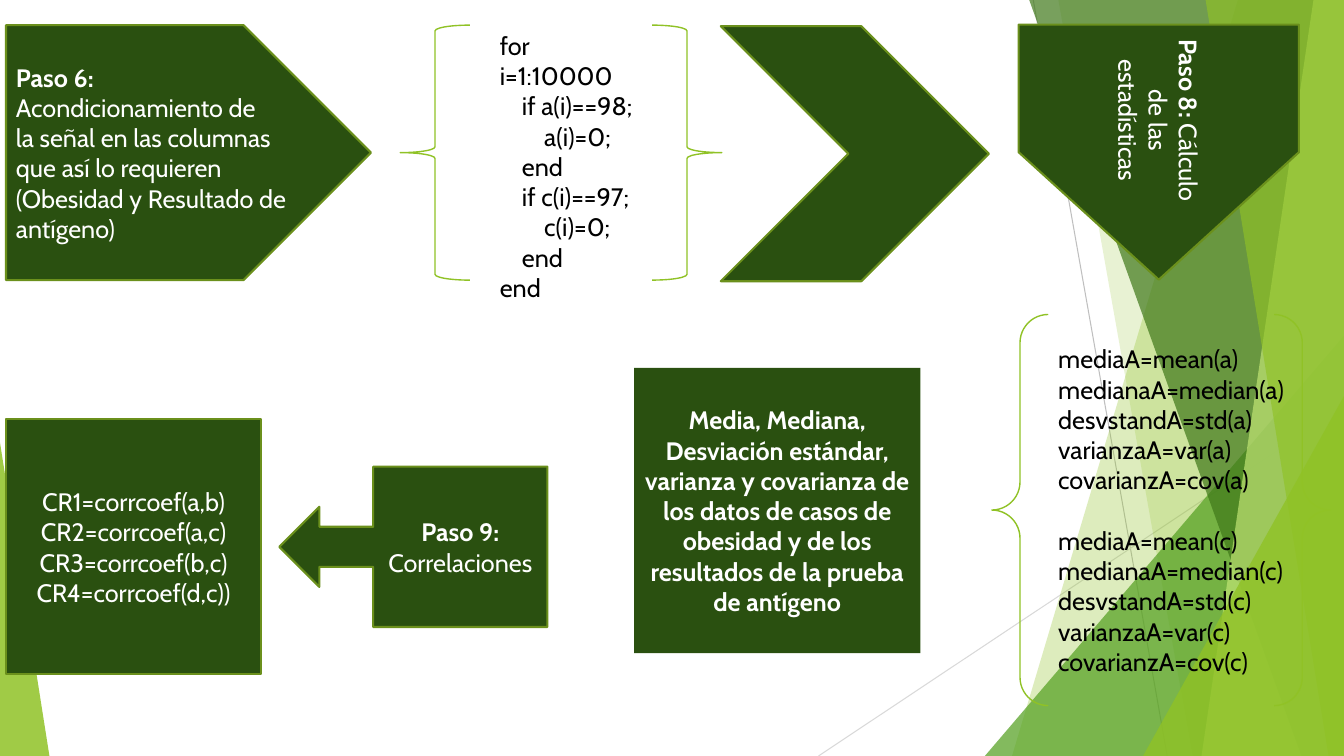
from pptx import Presentation
from pptx.dml.color import RGBColor
from pptx.enum.shapes import MSO_CONNECTOR, MSO_SHAPE
from pptx.enum.text import MSO_ANCHOR, PP_ALIGN
from pptx.oxml.ns import qn
from pptx.util import Inches, Pt
from lxml import etree

LEFT, CENTER = PP_ALIGN.LEFT, PP_ALIGN.CENTER
TOP, MIDDLE = MSO_ANCHOR.TOP, MSO_ANCHOR.MIDDLE
STRAIGHT = MSO_CONNECTOR.STRAIGHT
TRIANGLE, RECTANGLE = MSO_SHAPE.ISOSCELES_TRIANGLE, MSO_SHAPE.RECTANGLE
PENTAGON, CHEVRON = MSO_SHAPE.PENTAGON, MSO_SHAPE.CHEVRON
LEFT_BRACE, RIGHT_BRACE = MSO_SHAPE.LEFT_BRACE, MSO_SHAPE.RIGHT_BRACE
BRACE_PAIR, ARROW_CALLOUT = MSO_SHAPE.DOUBLE_BRACE, MSO_SHAPE.LEFT_ARROW_CALLOUT

WIDTH, HEIGHT = Inches(13.33), Inches(7.5)
DARK, EDGE, LIME = "2A5010", "6B901C", "90C226"
WHITE, BLACK = "FFFFFF", "000000"
FONT = {"name": "Cabin", "size": Pt(18)}
INDENT = Inches(0.22)

# Shared measures, in percent of the slide
MARGIN, ROW_TOP, STEP_H, STEP_W = 0.45, 3.33, 33.73, 18.98


def rgb(value):
    return RGBColor.from_string(value)


def x(percent):
    return int(WIDTH * percent / 100)


def y(percent):
    return int(HEIGHT * percent / 100)


def place(box):
    left, top, width, height = box
    return x(left), y(top), x(width), y(height)


def assign(target, values):
    for key, value in values.items():
        setattr(target, key, value)


def paint(shape, fill=None, line=None, weight=1.5, opacity=100):
    shape.shadow.inherit = False
    if fill:
        shape.fill.solid()
        shape.fill.fore_color.rgb = rgb(fill)
        if opacity < 100:
            color = shape.fill._xPr.find(qn("a:solidFill"))[0]
            etree.SubElement(color, qn("a:alpha"), val=str(opacity * 1000))
    else:
        shape.fill.background()
    if line:
        shape.line.color.rgb = rgb(line)
        shape.line.width = Pt(weight)
    else:
        shape.line.fill.background()


def para(*runs, level=0, before=0):
    """Runs are (text, bold) pairs."""
    return {"runs": runs, "level": level, "before": before}


def plain(lines):
    return [para((line, False)) for line in lines]


def write(shape, paragraphs, color, align, anchor):
    frame = shape.text_frame
    assign(frame, {"word_wrap": True, "vertical_anchor": anchor})
    for index, item in enumerate(paragraphs):
        paragraph = frame.paragraphs[0] if index == 0 else frame.add_paragraph()
        assign(paragraph, {"alignment": align, "space_before": Pt(item["before"])})
        if item["level"]:
            paragraph._p.get_or_add_pPr().set("marL", str(INDENT * item["level"]))
        for text, bold in item["runs"]:
            run = paragraph.add_run()
            run.text = text
            assign(run.font, {**FONT, "bold": bold})
            run.font.color.rgb = rgb(color)


def ray(slide, start, end, color):
    line = slide.shapes.add_connector(STRAIGHT, x(start[0]), y(start[1]), x(end[0]), y(end[1]))
    line.line.color.rgb = rgb(color)
    line.line.width = Pt(0.75)
    etree.SubElement(line._element.spPr, qn("a:effectLst"))


def facet(slide, top_x, bottom_x, color, opacity):
    """Full-height band from a slanted left edge to the right side."""
    outline = slide.shapes.build_freeform(x(top_x), 0)
    outline.add_line_segments([(x(100), 0), (x(100), y(100)), (x(bottom_x), y(100))], close=True)
    paint(outline.convert_to_shape(), color, opacity=opacity)


def corner(slide, box, apex, color, opacity):
    triangle = slide.shapes.add_shape(TRIANGLE, *place(box))
    triangle.adjustments[0] = apex
    paint(triangle, color, opacity=opacity)


def step(slide, kind, box, paragraphs=(), align=CENTER, edge=EDGE, rotation=0):
    block = slide.shapes.add_shape(kind, *place(box))
    block.rotation = rotation
    paint(block, DARK, edge)
    write(block, paragraphs, WHITE, align, MIDDLE)


def brace(slide, kind, box):
    paint(slide.shapes.add_shape(kind, *place(box)), line=LIME, weight=1)


def code(slide, box, paragraphs):
    write(slide.shapes.add_textbox(*place(box)), paragraphs, BLACK, LEFT, TOP)


def backdrop(slide):
    ray(slide, (76.88, 0), (86.85, 100), "BFBFBF")
    ray(slide, (100, 53.73), (60.9, 100), "D9D9D9")
    facet(slide, 92.1, 75.3, LIME, 30)
    facet(slide, 78.75, 88.73, LIME, 20)
    corner(slide, (73.28, 44.4, 26.72, 55.6), 1, "54A021", 72)
    facet(slide, 76.58, 96.83, "3F7819", 70)
    facet(slide, 97.73, 89.4, "C0E474", 70)
    facet(slide, 89.7, 98.85, LIME, 65)
    corner(slide, (85.05, 52.4, 14.95, 47.6), 1, LIME, 80)
    corner(slide, (0, 58.53, 3.68, 41.47), 0, LIME, 85)


def main():
    deck = Presentation()
    assign(deck, {"slide_width": WIDTH, "slide_height": HEIGHT})
    slide = deck.slides.add_slide(deck.slide_layouts[6])
    backdrop(slide)

    # Step 6: signal conditioning and its loop
    cleaning_loop = [(0, "for i=1:10000"), (1, "if a(i)==98;"), (2, "a(i)=0;"), (1, "end"),
                     (1, "if c(i)==97;"), (2, "c(i)=0;"), (1, "end"), (0, "end")]
    code(slide, (36.45, ROW_TOP, 12, 33.6),
         [para((text, False), level=level) for level, text in cleaning_loop])
    step(slide, PENTAGON, (MARGIN, ROW_TOP, 27.15, STEP_H), [
        para(("Paso 6:", True)),
        para(("Acondicionamiento de la\u00a0señal en las columnas que\u00a0así\u00a0lo requieren "
              "(Obesidad\u00a0y Resultado de antígeno)", False))], align=LEFT)
    for kind, left in ((LEFT_BRACE, 29.78), (RIGHT_BRACE, 48.53)):
        brace(slide, kind, (left, ROW_TOP, 5.18, STEP_H))
    step(slide, CHEVRON, (53.63, 3.47, 19.95, STEP_H))

    # Step 8: statistics of both variables
    brace(slide, BRACE_PAIR, (73.8, 41.6, 25.2, 51.73))
    measures = ("mediaA=mean", "medianaA=median", "desvstandA=std",
                "varianzaA=var", "covarianzA=cov")
    statistics = [para((f"{measure}({variable})", False),
                       before=21.7 if variable == "c" and index == 0 else 0)
                  for variable in "ac" for index, measure in enumerate(measures)]
    code(slide, (78, 44.8, 22, 45.73), statistics)
    step(slide, PENTAGON, (76.73, 1.6, STEP_W, 37.07),
         [para(("Paso 8:", True), (" Cálculo de las estadísticas", False))], rotation=90)
    step(slide, RECTANGLE, (47.18, 48.67, 21.3, 37.73), [para((
        "Media, Mediana, Desviación estándar, varianza y covarianza de los datos de casos "
        "de obesidad y de los resultados de la prueba de antígeno", True))], edge=None)

    # Step 9: correlations
    pairs = ("a,b)", "a,c)", "b,c)", "d,c))")
    step(slide, RECTANGLE, (MARGIN, 55.47, STEP_W, STEP_H),
         plain(f"CR{number}=corrcoef({pair}" for number, pair in enumerate(pairs, 1)))
    step(slide, ARROW_CALLOUT, (20.78, 61.73, 19.95, 21.2),
         [para(("Paso 9:", True)), para(("Correlaciones", False))])

    deck.save("out.pptx")


main()
